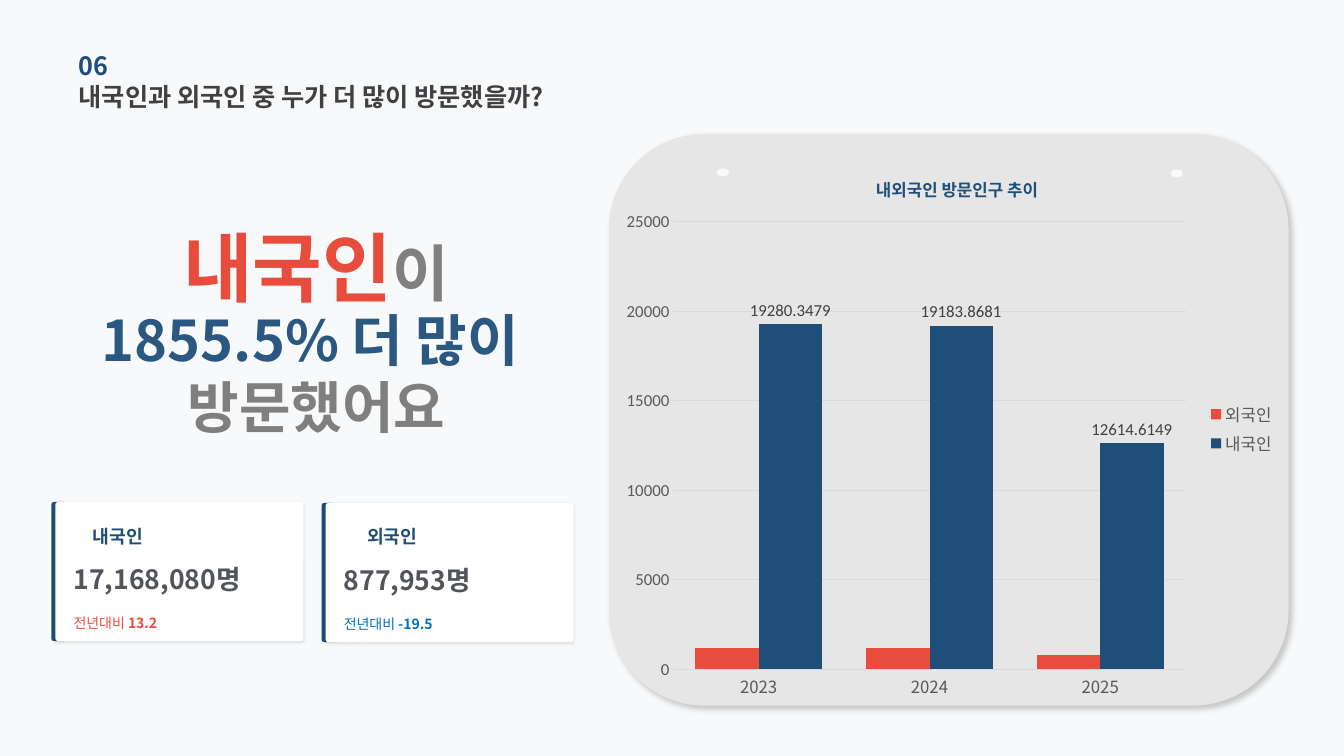
from lxml import etree
from pptx import Presentation
from pptx.chart.data import CategoryChartData
from pptx.dml.color import RGBColor
from pptx.enum.chart import XL_CHART_TYPE, XL_LABEL_POSITION, XL_LEGEND_POSITION, XL_TICK_MARK
from pptx.enum.shapes import MSO_SHAPE
from pptx.enum.text import MSO_ANCHOR, PP_ALIGN
from pptx.oxml.ns import qn
from pptx.util import Inches, Pt

ROUND, OVAL = MSO_SHAPE.ROUNDED_RECTANGLE, MSO_SHAPE.OVAL
LEFT, CENTER = PP_ALIGN.LEFT, PP_ALIGN.CENTER
MIDDLE = MSO_ANCHOR.MIDDLE
COLUMN = XL_CHART_TYPE.COLUMN_CLUSTERED
OUTSIDE = XL_LABEL_POSITION.OUTSIDE_END
RIGHT = XL_LEGEND_POSITION.RIGHT
NO_TICK = XL_TICK_MARK.NONE
KOREAN, LATIN = "Noto Sans CJK KR", "Calibri"
NAVY, RED, PALE, GRID = "1F4E79", "E74C3C", "F8F9FA", "D9D9D9"


def color(code):
    """Turn a hex string into a colour."""
    return RGBColor.from_string(code)


def style(font, size, code, bold=False, face=KOREAN):
    """Set the size, colour, weight and face of a font."""
    font.size, font.bold, font.name = Pt(size), bold, face
    font.color.rgb = color(code)


def add_run(para, text, size, code, bold=True):
    """Add one run with matching Latin and Korean faces."""
    run = para.add_run()
    run.text = text
    style(run.font, size, code, bold)
    props = run._r.get_or_add_rPr()
    etree.SubElement(props, qn("a:ea")).set("typeface", KOREAN)


def add_text(slide, box, lines, align=LEFT):
    """Add a text box from lines, each a list of runs."""
    frame = slide.shapes.add_textbox(*map(Inches, box)).text_frame
    frame.word_wrap = True
    frame.vertical_anchor = MIDDLE
    frame.margin_left = frame.margin_right = 0
    frame.margin_top = frame.margin_bottom = 0
    for i, line in enumerate(lines):
        para = frame.add_paragraph() if i else frame.paragraphs[0]
        para.alignment = align
        for run in line:
            add_run(para, *run)


def add_block(slide, kind, box, fill, round_by=None, shade=None):
    """Add a filled shape, with a shadow if shade is given."""
    shape = slide.shapes.add_shape(kind, *map(Inches, box))
    shape.shadow.inherit = False
    shape.fill.solid()
    shape.fill.fore_color.rgb = color(fill)
    shape.line.fill.background()
    if round_by is not None:
        shape.adjustments[0] = round_by
    if shade:
        alpha, blur, dist, angle = shade
        effects = shape._element.spPr.find(qn("a:effectLst"))
        outer = etree.SubElement(
            effects, qn("a:outerShdw"), blurRad=str(Pt(blur)), dist=str(Pt(dist)),
            dir=str(angle * 60000), algn="ctr", rotWithShape="0")
        tone = etree.SubElement(outer, qn("a:srgbClr"), val="000000")
        etree.SubElement(tone, qn("a:alpha"), val=str(alpha * 1000))


def add_card(slide, left, top, label, inset, count, change, tone):
    """Add a white card with a visitor count and yearly change."""
    add_block(slide, ROUND, (left - 0.04, top, 0.15, 1.38), NAVY)
    add_block(slide, ROUND, (left, top, 2.46, 1.38), "FFFFFF", 0.02, (10, 2, 1, 90))
    add_text(slide, (left + inset, 5.18, 0.65, 0.28), [[(label, 13, NAVY)]])
    add_text(slide, (left + 0.18, top + 0.57, 2.5, 0.39), [[(count, 19, "51545A")]])
    add_text(slide, (left + 0.18, top + 0.97, 2.5, 0.45),
             [[("전년대비 ", 10, tone, False), (change, 10, tone)]])


def place(node, index, **spots):
    """Give a chart part a manual layout, inserted at index if new."""
    layout = node.find(qn("c:layout"))
    if layout is None:
        layout = etree.Element(qn("c:layout"))
        node.insert(index, layout)
    manual = etree.SubElement(layout, qn("c:manualLayout"))
    for name, value in spots.items():
        etree.SubElement(manual, qn("c:" + name)).set("val", str(value))


def set_axis(axis, face):
    """Style the labels and ticks of an axis."""
    axis.major_tick_mark = axis.minor_tick_mark = NO_TICK
    style(axis.tick_labels.font, 12, "595959", face=face)


def add_graph(slide):
    """Add the column chart of local and foreign visitors."""
    data = CategoryChartData()
    data.categories = ["2023", "2024", "2025"]
    data.add_series("외국인", [1200, 1200, 800])
    data.add_series("내국인", [19280.3479, 19183.8681, 12614.6149])
    box = map(Inches, (6.15, 1.48, 6.6, 5.55))
    chart = slide.shapes.add_chart(COLUMN, *box, data).chart
    style(chart.font, 10, "000000", face=LATIN)

    title = chart.chart_title
    add_run(title.text_frame.paragraphs[0], "내외국인 방문인구 추이", 12, NAVY)
    place(title._element, 1, xMode="edge", yMode="edge", x=0.38, y=0.04)
    place(chart._chartSpace.chart.plotArea, 0, layoutTarget="inner",
          xMode="edge", yMode="edge", x=0.08, y=0.13, w=0.77, h=0.8)

    chart.has_legend = True
    chart.legend.position = RIGHT
    chart.legend.include_in_layout = False
    style(chart.legend.font, 12, "595959", face=LATIN)

    years, values = chart.category_axis, chart.value_axis
    set_axis(years, KOREAN)
    set_axis(values, LATIN)
    values.minimum_scale, values.maximum_scale = 0, 25000
    values.major_unit = 5000
    values.format.line.fill.background()
    for line in (years.format.line, values.major_gridlines.format.line):
        line.color.rgb = color(GRID)
        line.width = Pt(0.75)

    plot = chart.plots[0]
    plot.gap_width, plot.overlap = 70, 0
    plot.vary_by_categories = False
    for series, tone in zip(plot.series, (RED, NAVY)):
        series.format.fill.solid()
        series.format.fill.fore_color.rgb = color(tone)
    labels = plot.series[1].data_labels
    labels.show_value = True
    labels.position = OUTSIDE
    style(labels.font, 12, "404040", face=LATIN)


def main():
    """Build the visitor slide and save it."""
    deck = Presentation()
    deck.slide_width, deck.slide_height = Inches(13.33), Inches(7.5)
    slide = deck.slides.add_slide(deck.slide_layouts[6])
    slide.background.fill.solid()
    slide.background.fill.fore_color.rgb = color(PALE)

    add_block(slide, ROUND, (6.04, 1.33, 6.74, 5.67), "E7E6E6", shade=(20, 4, 3, 45))
    for left, top in ((7.11, 1.67), (11.61, 1.68)):
        add_block(slide, OVAL, (left, top, 0.12, 0.08), PALE)
    add_text(slide, (0.78, 0.75, 5.28, 0.41),
             [[("내국인과 외국인 중 누가 더 많이 방문했을까?", 18, "404040")]])
    add_text(slide, (0.78, 0.44, 4.52, 0.41), [[("06", 18, NAVY)]])
    add_text(slide, (0.99, 2.4, 4.29, 0.48),
             [[("내국인", 54, RED), ("이", 44, "808080")]], CENTER)
    add_text(slide, (0.38, 3.28, 5.52, 0.84),
             [[("1855.5% 더 많이 ", 40, "2B5880")], [("방문했어요", 40, "7F7F7F")]], CENTER)
    add_card(slide, 0.55, 4.98, "내국인", 0.37, "17,168,080명", "13.2", RED)
    add_card(slide, 3.23, 4.99, "외국인", 0.41, "877,953명", "-19.5", "0070C0")
    add_graph(slide)
    deck.save("out.pptx")


if __name__ == "__main__":
    main()
